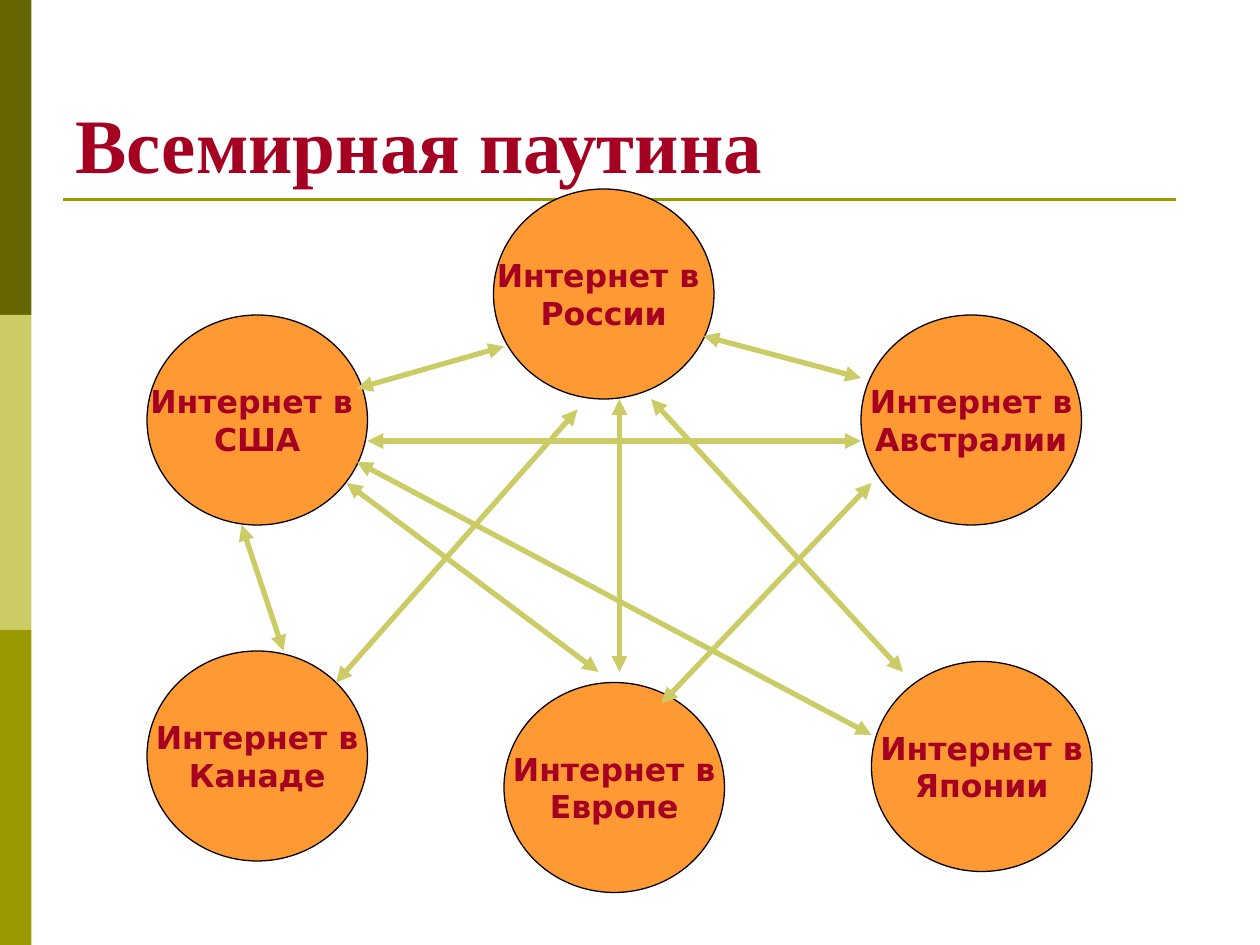
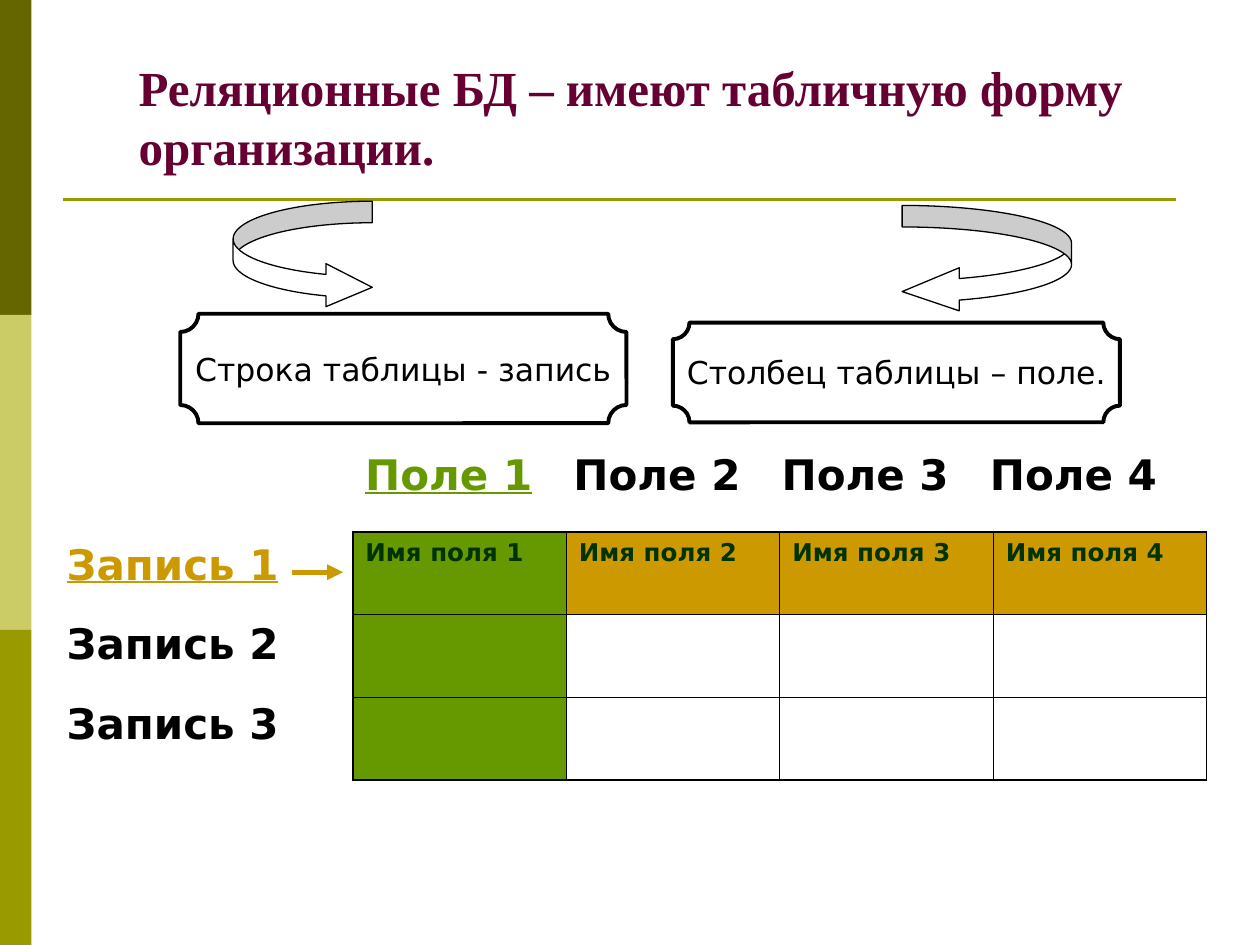
"""Build two slides: the world wide web diagram and the relational table form."""
import lxml.etree
import pptx
import pptx.dml.color
import pptx.enum.shapes
import pptx.enum.text
import pptx.oxml.ns
import pptx.util

Pt = pptx.util.Pt
RGBColor = pptx.dml.color.RGBColor
MSO_SHAPE = pptx.enum.shapes.MSO_SHAPE
PP_ALIGN = pptx.enum.text.PP_ALIGN
MSO_ANCHOR = pptx.enum.text.MSO_ANCHOR
qn = pptx.oxml.ns.qn

BLACK = RGBColor(0x00, 0x00, 0x00)
WHITE = RGBColor(0xFF, 0xFF, 0xFF)
DARK_OLIVE = RGBColor(0x66, 0x66, 0x00)
PALE_OLIVE = RGBColor(0xCC, 0xCC, 0x66)
OLIVE = RGBColor(0x99, 0x99, 0x00)
CRIMSON = RGBColor(0xA5, 0x00, 0x21)
PLUM = RGBColor(0x66, 0x00, 0x33)
ORANGE = RGBColor(0xFF, 0x99, 0x33)
GREEN = RGBColor(0x66, 0x99, 0x00)
GOLD = RGBColor(0xCC, 0x99, 0x00)
DARK_GREEN = RGBColor(0x00, 0x33, 0x00)

TITLE_FONT, BODY_FONT = "Times New Roman", "DejaVu Sans"
BANDS = [DARK_OLIVE, PALE_OLIVE, OLIVE]
BAND_WIDTH, BAND_HEIGHT = 18, 180

WEB_TITLE = "Всемирная паутина"
CIRCLE_SIZE = (126, 120)
COUNTRIES = [
    (("Интернет в ", "США"), (84, 180)),
    (("Интернет в", "Канаде"), (84, 372)),
    (("Интернет в", "Австралии"), (492, 180)),
    (("Интернет в ", "России"), (282, 108)),
    (("Интернет в", "Европе"), (288, 390)),
    (("Интернет в", "Японии"), (498, 378)),
]
LINKS = [
    ((498, 420), (204, 264)),
    ((402, 192), (492, 216)),
    ((288, 198), (204, 222)),
    ((372, 228), (516, 384)),
    ((354, 228), (354, 384)),
    ((138, 300), (162, 372)),
    ((330, 234), (192, 390)),
    ((498, 276), (378, 402)),
    ((492, 252), (210, 252)),
    ((342, 384), (198, 276)),
]

TABLE_TITLE = "Реляционные БД – имеют табличную форму организации."
PLAQUES = [
    ("Строка таблицы - запись", (103, 179.3, 255, 62.6)),
    ("Столбец таблицы – поле.", (384.5, 184.3, 255.5, 57)),
]
CURVED_ARROWS = [
    (MSO_SHAPE.CURVED_RIGHT_ARROW, (133.2, 115, 79.5, 61.5), (0.2, 0.4, 0.43)),
    (MSO_SHAPE.CURVED_LEFT_ARROW, (515.5, 117.4, 96.8, 61.5), (0.2, 0.4, 0.53)),
]
FIELDS = ["Поле 1", "Поле 2", "Поле 3", "Поле 4"]
RECORDS = ["Запись 1", "Запись 2", "Запись 3"]
FIELD_NAMES = ["Имя поля 1", "Имя поля 2", "Имя поля 3", "Имя поля 4"]
TABLE_LEFT, TABLE_TOP = 201.6, 304
COLUMN_WIDTH, ROW_HEIGHT = 122, 47.3
FIELD_TOP, FIELD_STEP = 253, 119
RECORD_LEFT, RECORD_STEP = 31, 45.4
OUTER_BORDER, INNER_BORDER = 1.08, 0.45


def write(frame, lines, size, color, bold=False, underline=False, align=PP_ALIGN.LEFT, font=BODY_FONT):
    for index, line in enumerate(lines):
        paragraph = frame.add_paragraph() if index else frame.paragraphs[0]
        paragraph.alignment = align
        run = paragraph.add_run()
        run.text = line
        run.font.name = font
        run.font.size = Pt(size)
        run.font.bold = bold
        run.font.underline = underline
        run.font.color.rgb = color


def add_figure(slide, kind, box, fill, line_width=None):
    shape = slide.shapes.add_shape(kind, *map(Pt, box))
    shape.shadow.inherit = False
    shape.fill.solid()
    shape.fill.fore_color.rgb = fill
    if line_width:
        shape.line.color.rgb = BLACK
        shape.line.width = Pt(line_width)
    else:
        shape.line.fill.background()
    return shape


def write_centred(shape, lines, color, bold=False):
    frame = shape.text_frame
    frame.word_wrap = False
    frame.vertical_anchor = MSO_ANCHOR.MIDDLE
    write(frame, lines, 18, color, bold, align=PP_ALIGN.CENTER)


def add_line(slide, start, end, color, width, arrow_ends=()):
    straight = pptx.enum.shapes.MSO_CONNECTOR.STRAIGHT
    connector = slide.shapes.add_connector(straight, *map(Pt, start + end))
    connector.line.color.rgb = color
    connector.line.width = Pt(width)
    properties = connector.element.spPr
    for arrow_end in arrow_ends:
        lxml.etree.SubElement(properties.find(qn("a:ln")), qn(arrow_end), type="triangle")
    lxml.etree.SubElement(properties, qn("a:effectLst"))


def add_label(slide, text, left, top, width, color):
    box = slide.shapes.add_textbox(*map(Pt, (left, top, width, 36)))
    box.text_frame.word_wrap = True
    write(box.text_frame, [text], 24, color, bold=True, underline=color != BLACK)


def add_page(presentation, text, size, color, anchor, left_margin=7.2):
    slide = presentation.slides.add_slide(presentation.slide_layouts[5])
    for index, band in enumerate(BANDS):
        add_figure(slide, MSO_SHAPE.RECTANGLE, (0, index * BAND_HEIGHT, BAND_WIDTH, BAND_HEIGHT), band)
    add_line(slide, (36, 114), (672, 114), OLIVE, 1.5)
    title = slide.shapes.title
    title.left, title.top, title.width, title.height = map(Pt, (36, 21.6, 648, 90))
    frame = title.text_frame
    frame.auto_size = pptx.enum.text.MSO_AUTO_SIZE.NONE
    frame.word_wrap = True
    frame.vertical_anchor = anchor
    frame.margin_left = Pt(left_margin)
    write(frame, [text], size, color, bold=True, font=TITLE_FONT)
    return slide


def set_border(cell, side, width):
    line = lxml.etree.SubElement(cell._tc.get_or_add_tcPr(), qn(f"a:ln{side}"), w=str(int(Pt(width))))
    fill = lxml.etree.SubElement(line, qn("a:solidFill"))
    lxml.etree.SubElement(fill, qn("a:srgbClr"), val=str(BLACK))


def add_field_table(slide):
    rows, columns = len(RECORDS), len(FIELDS)
    box = (TABLE_LEFT, TABLE_TOP, columns * COLUMN_WIDTH, rows * ROW_HEIGHT)
    table = slide.shapes.add_table(rows, columns, *map(Pt, box)).table
    table.first_row = table.horz_banding = False
    for row in range(rows):
        for column in range(columns):
            cell = table.cell(row, column)
            outer_sides = {"L": column == 0, "R": column == columns - 1, "T": row == 0, "B": row == rows - 1}
            for side, outer in outer_sides.items():
                set_border(cell, side, OUTER_BORDER if outer else INNER_BORDER)
            cell.fill.solid()
            cell.fill.fore_color.rgb = GREEN if column == 0 else GOLD if row == 0 else WHITE
            if row == 0:
                write(cell.text_frame, [FIELD_NAMES[column]], 14, DARK_GREEN, bold=True)


def build_web_slide(presentation):
    slide = add_page(presentation, WEB_TITLE, 44, CRIMSON, MSO_ANCHOR.BOTTOM)
    for lines, position in COUNTRIES:
        circle = add_figure(slide, MSO_SHAPE.OVAL, position + CIRCLE_SIZE, ORANGE, 0.75)
        write_centred(circle, lines, CRIMSON, bold=True)
    for start, end in LINKS:
        add_line(slide, start, end, PALE_OLIVE, 3, ("a:headEnd", "a:tailEnd"))


def build_table_slide(presentation):
    slide = add_page(presentation, TABLE_TITLE, 28, PLUM, MSO_ANCHOR.MIDDLE, left_margin=43.2)
    for kind, box, adjustments in CURVED_ARROWS:
        arrow = add_figure(slide, kind, box, WHITE, 0.75)
        for index, value in enumerate(adjustments):
            arrow.adjustments[index] = value
    for text, box in PLAQUES:
        write_centred(add_figure(slide, MSO_SHAPE.PLAQUE, box, WHITE, 2.25), [text], BLACK)
    add_field_table(slide)
    for index, text in enumerate(RECORDS):
        top = TABLE_TOP + index * RECORD_STEP
        add_label(slide, text, RECORD_LEFT, top, 147.6, BLACK if index else GOLD)
    add_line(slide, (167, 327), (196, 327), GOLD, 3, ["a:tailEnd"])
    for index, text in enumerate(FIELDS):
        left = TABLE_LEFT + index * FIELD_STEP
        add_label(slide, text, left, FIELD_TOP, 124.6, BLACK if index else GREEN)


def main():
    presentation = pptx.Presentation()
    presentation.slide_width, presentation.slide_height = Pt(720), Pt(540)
    build_web_slide(presentation)
    build_table_slide(presentation)
    presentation.save("out.pptx")


if __name__ == "__main__":
    main()
